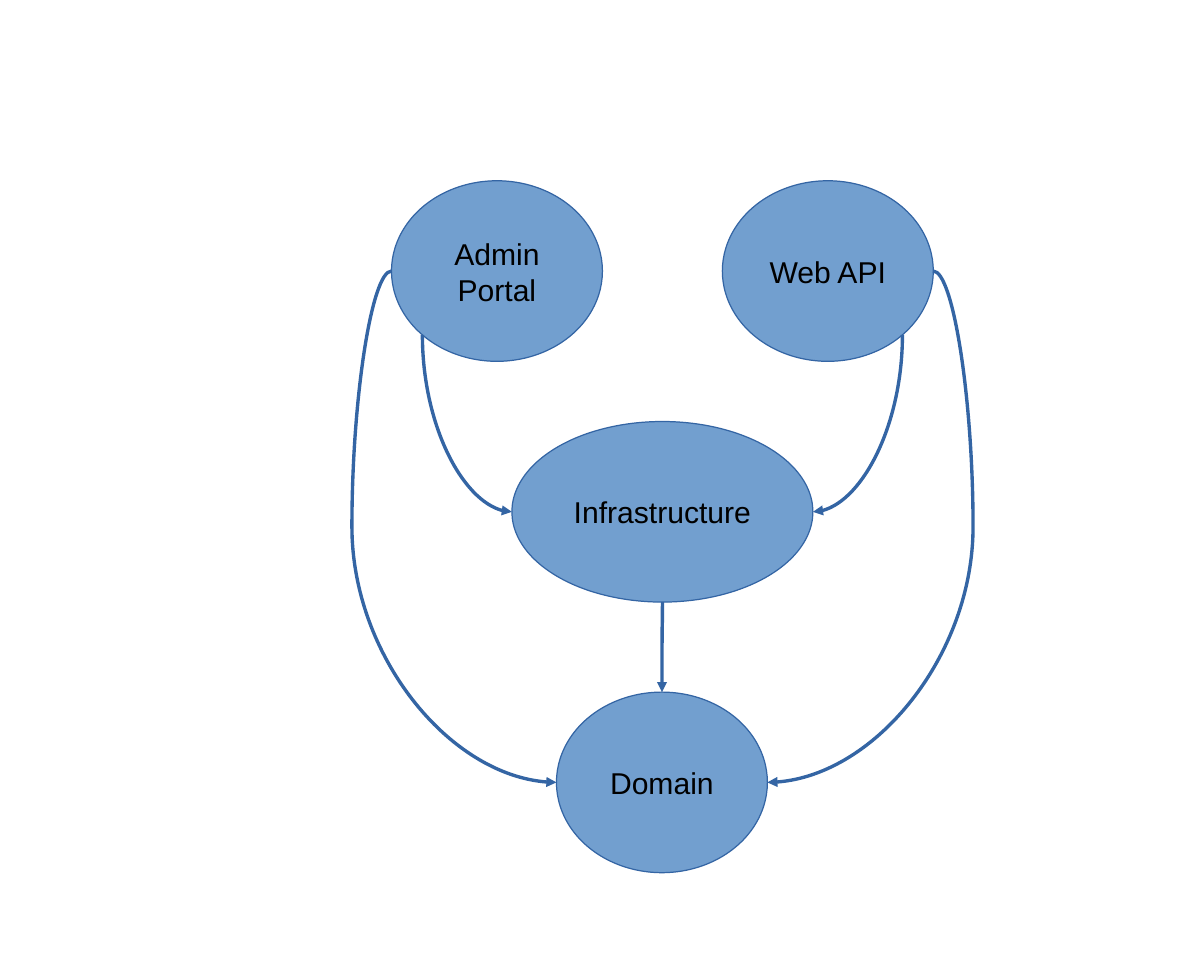
import math

import pptx
import pptx.dml.color
import pptx.enum.shapes
import pptx.enum.text
import pptx.oxml.ns
import pptx.oxml.xmlchemy
import pptx.util
from lxml import etree

Cm = pptx.util.Cm
qn = pptx.oxml.ns.qn
FILL, LINE, TEXT = "729FCF", "3465A4", "000000"
NODE_WIDTH, WIDE_NODE, NODE_HEIGHT = 4.45, 6.35, 3.81


def color(value):
    return pptx.dml.color.RGBColor.from_string(value)


def apply_format(target, values):
    for name, value in values.items():
        setattr(target, name, value)


def style_line(line):
    line.color.rgb = color(LINE)
    line.width = pptx.util.Pt(0)


def add_node(page, center, width, label):
    x, y = center
    node = page.shapes.add_shape(
        pptx.enum.shapes.MSO_SHAPE.OVAL,
        Cm(x - width / 2), Cm(y - NODE_HEIGHT / 2), Cm(width), Cm(NODE_HEIGHT))
    node.shadow.inherit = False
    node.fill.solid()
    node.fill.fore_color.rgb = color(FILL)
    style_line(node.line)
    apply_format(node.text_frame, {
        "word_wrap": True,
        "vertical_anchor": pptx.enum.text.MSO_ANCHOR.MIDDLE,
        "margin_left": Cm(0.25), "margin_right": Cm(0.25),
        "margin_top": Cm(0.13), "margin_bottom": Cm(0.13)})
    para = node.text_frame.paragraphs[0]
    para.alignment = pptx.enum.text.PP_ALIGN.CENTER
    span = para.add_run()
    span.text = label
    apply_format(span.font, {"name": "Arial", "size": pptx.util.Pt(18)})
    span.font.color.rgb = color(TEXT)


def add_arrow(page, start, end, preset, bend=None, downward=False):
    """Draw a curved arrow; one that leaves downward is stored turned by a quarter."""
    (x1, y1), (x2, y2) = start, end
    turn = 0
    if downward:
        middle_x, middle_y = (x1 + x2) / 2, (y1 + y2) / 2
        turn = 90 if x2 < x1 else 270
        half_run = (y2 - y1) / 2 * (1 if turn == 90 else -1)
        half_rise = abs(x2 - x1) / 2
        x1, x2 = middle_x - half_run, middle_x + half_run
        y1, y2 = middle_y - half_rise, middle_y + half_rise
    arrow = page.shapes.add_connector(
        pptx.enum.shapes.MSO_CONNECTOR.CURVE, Cm(x1), Cm(y1), Cm(x2), Cm(y2))
    style_line(arrow.line)
    properties = arrow._element.spPr
    if turn:
        properties.find(qn("a:xfrm")).set("rot", str(turn * 60000))
    geometry = properties.find(qn("a:prstGeom"))
    geometry.set("prst", preset)
    if bend is not None:
        guides = geometry.find(qn("a:avLst"))
        if guides is None:
            guides = etree.SubElement(geometry, qn("a:avLst"))
        etree.SubElement(guides, qn("a:gd"), name="adj1",
                         fmla=f"val {round(bend * 100000)}")
    etree.SubElement(properties.find(qn("a:ln")), qn("a:tailEnd"), type="triangle")
    etree.SubElement(properties, qn("a:effectLst"))


def add_dependency_diagram(page, left, top, width):
    axis = left + width / 2
    reach = (width - NODE_WIDTH) / 2
    app_y, infrastructure_y, domain_y = (top + drop for drop in (1.91, 6.99, 12.7))
    domain_x = axis - 0.01

    add_node(page, (domain_x, domain_y), NODE_WIDTH, "Domain")
    add_node(page, (axis - reach, app_y), NODE_WIDTH, "Admin Portal")
    add_node(page, (axis + reach, app_y), NODE_WIDTH, "Web API")
    add_node(page, (axis, infrastructure_y), WIDE_NODE, "Infrastructure")

    diagonal = math.sqrt(0.5)
    for side in (-1, 1):
        app_x = axis + side * reach
        lower_corner = (app_x + side * NODE_WIDTH / 2 * diagonal,
                        app_y + NODE_HEIGHT / 2 * diagonal)
        add_arrow(page, lower_corner, (axis + side * WIDE_NODE / 2, infrastructure_y),
                  "curvedConnector2", downward=True)
        add_arrow(page, (app_x + side * NODE_WIDTH / 2, app_y),
                  (domain_x + side * NODE_WIDTH / 2, domain_y),
                  "curvedConnector3", bend=-0.24)
    add_arrow(page, (axis, infrastructure_y + NODE_HEIGHT / 2),
              (domain_x, domain_y - NODE_HEIGHT / 2),
              "curvedConnector3", bend=0.25, downward=True)


def main():
    deck = pptx.Presentation()
    deck.slide_width, deck.slide_height = Cm(25.4), Cm(20.32)
    page = deck.slides.add_slide(deck.slide_layouts[6])
    add_dependency_diagram(page, left=8.26, top=3.81, width=11.43)
    deck.save("out.pptx")


if __name__ == "__main__":
    main()
